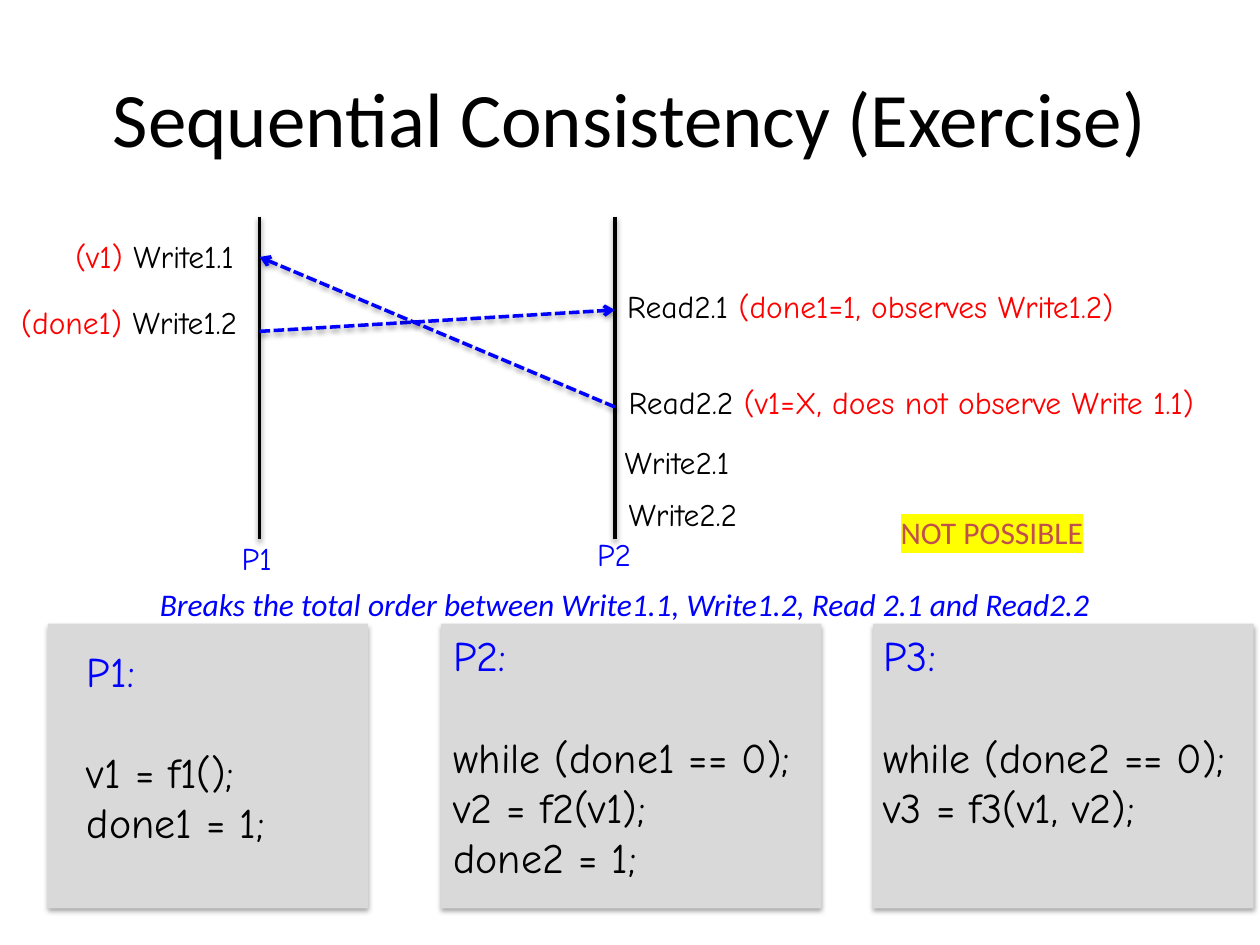
from dataclasses import dataclass

from lxml import etree
from pptx import Presentation
from pptx.dml.color import RGBColor
from pptx.enum.dml import MSO_LINE
from pptx.enum.shapes import MSO_CONNECTOR, MSO_SHAPE
from pptx.enum.text import MSO_ANCHOR, PP_ALIGN
from pptx.oxml.ns import qn
from pptx.util import Inches, Pt

STRAIGHT = MSO_CONNECTOR.STRAIGHT
RECTANGLE = MSO_SHAPE.RECTANGLE
DASH = MSO_LINE.SQUARE_DOT
LEFT, CENTER = PP_ALIGN.LEFT, PP_ALIGN.CENTER
TOP, MIDDLE = MSO_ANCHOR.TOP, MSO_ANCHOR.MIDDLE


@dataclass(frozen=True)
class Theme:
    """Colours, fonts and type sizes of the slide."""
    black: str = "000000"
    blue: str = "0000FF"
    red: str = "FF0000"
    brick: str = "C0504D"
    yellow: str = "FFFF00"
    grey: str = "D9D9D9"
    sans: str = "Calibri"
    hand: str = "Comic Neue"
    title: int = 44
    code: int = 24
    label: int = 18
    line: int = 2


THEME = Theme()
LABEL_HEIGHT = 0.4


def set_font(font, name, size, color):
    """Give a font its face, size and colour."""
    font.name, font.size = name, Pt(size)
    font.color.rgb = RGBColor.from_string(color)


def add_shadow(shape, opacity, distance):
    """Put a soft shadow straight below a shape or connector."""
    effects = etree.SubElement(shape._element.spPr, qn("a:effectLst"))
    shadow = etree.SubElement(effects, qn("a:outerShdw"), blurRad=str(Pt(3.1)),
                              dist=str(Pt(distance)), dir="5400000", rotWithShape="0")
    color = etree.SubElement(shadow, qn("a:srgbClr"), val=THEME.black)
    etree.SubElement(color, qn("a:alpha"), val=str(opacity * 1000))


def add_line(slide, start, end, color, arrow=False):
    """Draw a straight line, dashed and headed when it is an arrow."""
    connector = slide.shapes.add_connector(STRAIGHT, *map(Inches, (*start, *end)))
    connector.line.width = Pt(THEME.line)
    connector.line.color.rgb = RGBColor.from_string(color)
    if arrow:
        connector.line.dash_style = DASH
        etree.SubElement(connector.line._ln, qn("a:tailEnd"), type="arrow")
    add_shadow(connector, 38, 1.6)


def add_label(slide, box, parts, name=THEME.hand, wrap=True):
    """Write one line of coloured runs and return its paragraph."""
    frame = slide.shapes.add_textbox(*map(Inches, box)).text_frame
    frame.word_wrap = wrap
    paragraph = frame.paragraphs[0]
    set_font(paragraph.font, name, THEME.label, parts[0][1])
    for text, color in parts:
        run = paragraph.add_run()
        run.text = text
        if len(parts) > 1:
            run.font.color.rgb = RGBColor.from_string(color)
    return paragraph


def add_title(slide, box, text):
    """Fill the title placeholder."""
    title = slide.shapes.title
    title.left, title.top, title.width, title.height = map(Inches, box)
    title.text_frame.text = text
    title.text_frame.vertical_anchor = MIDDLE
    paragraph = title.text_frame.paragraphs[0]
    paragraph.alignment = CENTER
    set_font(paragraph.font, THEME.sans, THEME.title, THEME.black)


def add_timeline(slide, box):
    """Draw the two process lines, their events and the observed order."""
    left, top, width, height = box
    right, bottom = left + width, top + height
    for x, name, name_top in ((left, "P1", bottom - 0.05), (right, "P2", bottom - 0.08)):
        add_line(slide, (x, top), (x, bottom), THEME.black)
        add_label(slide, (x - 0.24, name_top, 0.49, LABEL_HEIGHT),
                  [(name, THEME.blue)], wrap=False)

    writes = (("(v1)", " Write1.1", 1.56, 0.11), ("(done1)", " Write1.2", 1.99, 0.64))
    for value, event, reach, offset in writes:
        add_label(slide, (left - reach, top + offset, reach, LABEL_HEIGHT),
                  [(value, THEME.red), (event, THEME.black)], wrap=False)

    events = (
        ("Read2.1 ", "(done1=1, observes Write1.2)", 0, 0.51),
        ("Read2.2 ", "(v1=X, does not observe Write 1.1)", 0.01, 1.27),
        ("Write2.1", "", -0.02, 1.75),
        ("Write2.2", "", 0.01, 2.16),
    )
    for event, remark, shift, offset in events:
        parts = [(event, THEME.black)] + ([(remark, THEME.red)] if remark else [])
        add_label(slide, (right + shift, top + offset, 5, LABEL_HEIGHT), parts)

    add_line(slide, (left, top + 0.91), (right, top + 0.74), THEME.blue, arrow=True)
    add_line(slide, (right, top + 1.51), (left, top + 0.32), THEME.blue, arrow=True)


def add_verdict(slide, box):
    """Write the highlighted verdict."""
    paragraph = add_label(slide, box, [("NOT POSSIBLE", THEME.brick)], THEME.sans)
    properties = paragraph.runs[0].font._element if hasattr(
        paragraph.runs[0].font, "_element") else paragraph.runs[0]._r.get_or_add_rPr()
    highlight = etree.SubElement(properties, qn("a:highlight"))
    etree.SubElement(highlight, qn("a:srgbClr"), val=THEME.yellow)


def add_reason(slide, box, text):
    """Write the italic explanation under the timeline."""
    add_label(slide, box, [(text, THEME.blue)], THEME.sans, wrap=False).font.italic = True


def add_code_card(slide, box, inset, heading, lines):
    """Draw a grey card with a process name above its code."""
    card = slide.shapes.add_shape(RECTANGLE, *map(Inches, box))
    card.fill.solid()
    card.fill.fore_color.rgb = RGBColor.from_string(THEME.grey)
    card.line.fill.background()
    add_shadow(card, 35, 1.8)
    frame = card.text_frame
    frame.word_wrap = True
    frame.vertical_anchor = TOP
    frame.margin_left, frame.margin_top = map(Inches, inset)
    frame.margin_right = Inches(0.05)
    for index, text in enumerate((heading, *lines)):
        paragraph = frame.add_paragraph() if index else frame.paragraphs[0]
        paragraph.text = text
        paragraph.alignment = LEFT
        if index == 0:
            paragraph.space_after = Pt(29)
        set_font(paragraph.font, THEME.hand, THEME.code,
                 THEME.black if index else THEME.blue)


def add_code_row(slide, top, height):
    """Set the three process cards side by side."""
    cards = (
        (0.38, 2.54, (0.31, 0.17), "P1:", ("v1 = f1();", "done1 = 1;")),
        (3.5, 3.02, (0.1, 0.05), "P2:",
         ("while (done1 == 0);", "v2 = f2(v1);", "done2 = 1;")),
        (6.93, 3.02, (0.08, 0.05), "P3:", ("while (done2 == 0);", "v3 = f3(v1, v2);")),
    )
    for left, width, inset, heading, lines in cards:
        add_code_card(slide, (left, top, width, height), inset, heading, lines)


def main():
    """Build and save the slide."""
    presentation = Presentation()
    presentation.slide_width, presentation.slide_height = Inches(10), Inches(7.5)
    slide = presentation.slides.add_slide(presentation.slide_layouts[5])
    add_title(slide, (0.5, 0.3, 9, 1.25), "Sequential Consistency (Exercise)")
    add_timeline(slide, (2.06, 1.72, 2.82, 2.56))
    add_code_row(slide, 4.95, 2.26)
    add_reason(slide, (1.17, 4.59, 7.76, LABEL_HEIGHT),
               "Breaks the total order between Write1.1, Write1.2, Read 2.1 and Read2.2")
    add_verdict(slide, (7.05, 4.02, 2.64, LABEL_HEIGHT))
    presentation.save("out.pptx")


if __name__ == "__main__":
    main()
